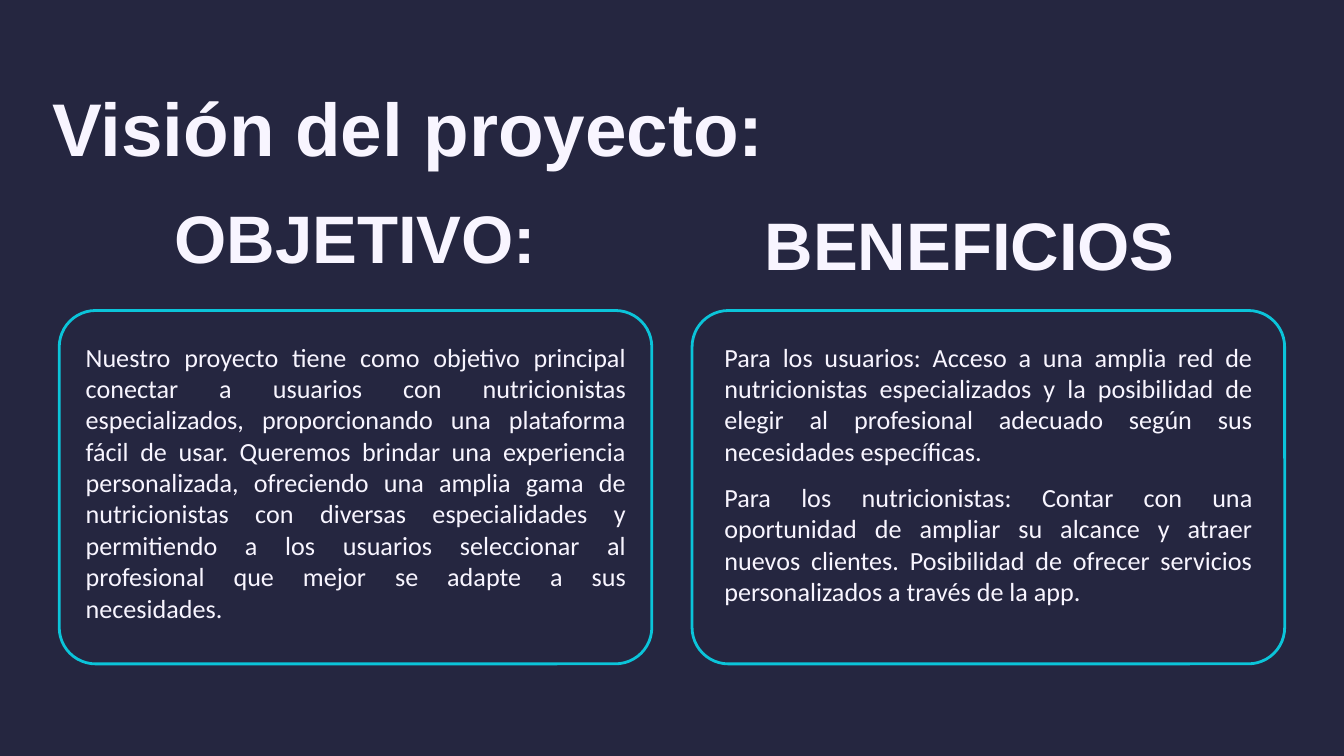
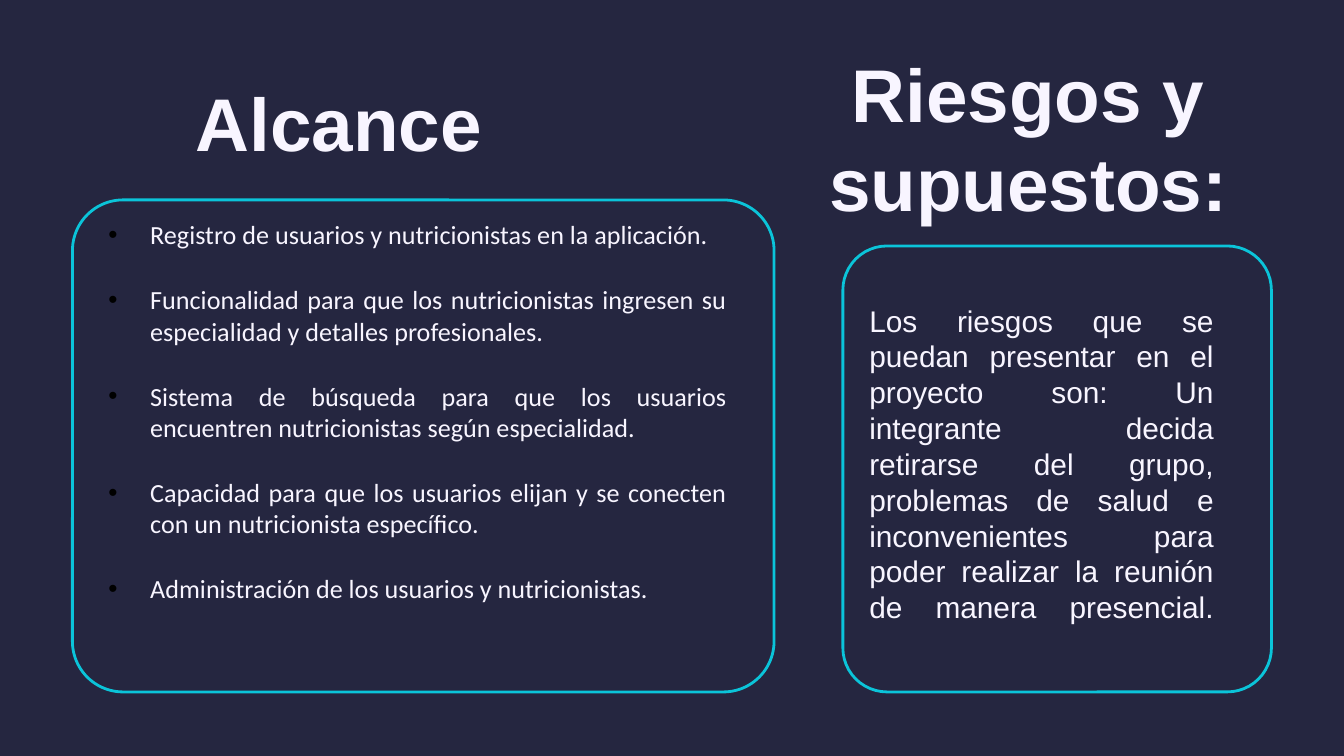
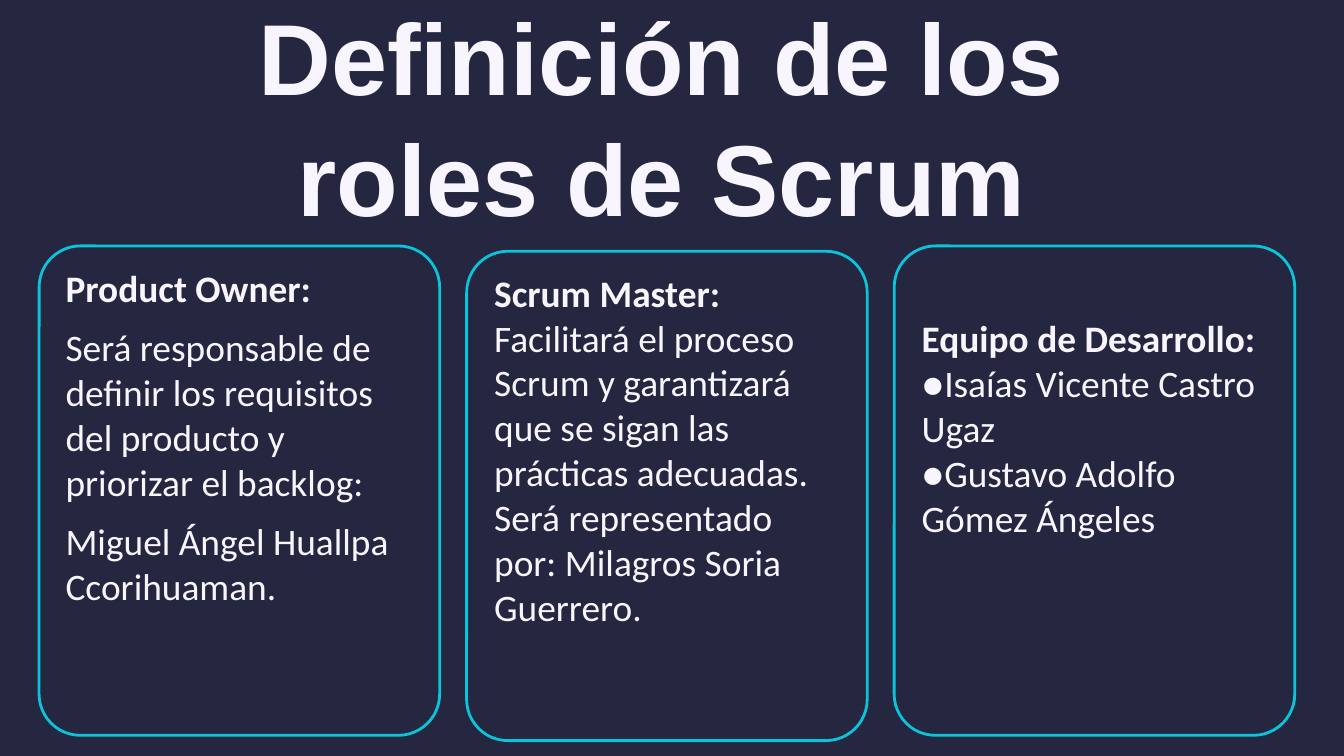
import pptx
import pptx.util
import pptx.dml.color
import pptx.enum.shapes
import pptx.enum.text
import pptx.oxml
import pptx.oxml.ns

Cm = pptx.util.Cm
Pt = pptx.util.Pt
RGBColor = pptx.dml.color.RGBColor
ALIGN = pptx.enum.text.PP_ALIGN
ANCHOR = pptx.enum.text.MSO_ANCHOR
AUTO_SIZE = pptx.enum.text.MSO_AUTO_SIZE

NAVY = RGBColor(0x25, 0x26, 0x40)
CYAN = RGBColor(0x0B, 0xC4, 0xD9)
PALE = RGBColor(0xF8, 0xF5, 0xFF)
BLACK = RGBColor(0, 0, 0)

HEADING_FRAME = {"vertical_anchor": ANCHOR.MIDDLE, "auto_size": AUTO_SIZE.NONE,
                 "margin_left": Cm(0.25), "margin_right": Cm(0.25),
                 "margin_top": Cm(0.25), "margin_bottom": Cm(0.25)}
BODY_FRAME = {"vertical_anchor": ANCHOR.TOP, "auto_size": AUTO_SIZE.SHAPE_TO_FIT_TEXT}
CENTRED = {"alignment": ALIGN.CENTER}
LEFT = {"alignment": ALIGN.LEFT}
SPACED = {"alignment": ALIGN.LEFT, "space_after": Pt(8)}
JUSTIFIED = {"alignment": ALIGN.JUSTIFY, "space_after": Pt(8)}
AIRY = {"alignment": ALIGN.JUSTIFY, "space_before": Pt(10), "space_after": Pt(8)}

BULLET_INDENT = Cm(0.79)
CARD_ROUNDING = 0.103

VISION_CARDS = {"left": 1.12, "width": 11.2, "step": 11.96, "height": 6.68, "tops": [5.87, 5.87]}
ROLE_CARDS = {"left": 0.74, "width": 7.57, "step": 8.08, "height": 9.25, "tops": [4.65, 4.75, 4.65]}


def card_row(row):
    return [(row["left"] + index * row["step"], top, row["width"], row["height"])
            for index, top in enumerate(row["tops"])]


SLIDES = [
    {
        "cards": card_row(VISION_CARDS),
        "title": ("OBJETIVO:", 36, (1.12, 3.68, 11.2, 1.6)),
        "headings": [("BENEFICIOS", 36, (12.73, 3.81, 11.2, 1.6))],
        "banner": ("Visión del proyecto:", 40, (0.74, 1.42, 23.95, 1.96)),
        "bodies": [
            {"box": (1.37, 6.32, 10.72, 6.25), "size": 14, "paragraphs": [
                (JUSTIFIED, [("Nuestro proyecto tiene como objetivo principal conectar a usuarios con nutricionistas especializados, proporcionando una plataforma fácil de usar. Queremos brindar una experiencia personalizada, ofreciendo una amplia gama de nutricionistas con diversas especialidades y permitiendo a los usuarios seleccionar al profesional que mejor se adapte a sus necesidades.", False)]),
            ]},
            {"box": (13.44, 6.32, 10.49, 5.92), "size": 14, "paragraphs": [
                (JUSTIFIED, [("Para los usuarios: Acceso a una amplia red de nutricionistas especializados y la posibilidad de elegir al profesional adecuado según sus necesidades específicas. ", False)]),
                (JUSTIFIED, [("Para los nutricionistas: Contar con una oportunidad de ampliar su alcance y atraer nuevos clientes. Posibilidad de ofrecer servicios personalizados a través de la app.", False)]),
            ]},
        ],
    },
    {
        "cards": [(1.37, 3.78, 13.26, 9.3), (15.93, 4.65, 8.1, 8.43)],
        "title": ("Alcance", 40, (1.6, 1.5, 9.6, 1.6)),
        "headings": [("Riesgos y supuestos:", 40, (14.63, 0.84, 9.6, 3.51))],
        "bodies": [
            {"box": (1.8, 4.01, 12.19, 8.81), "size": 14, "bullet": "•", "paragraphs": [
                (AIRY, [(text, False)]) for text in (
                    "Registro de usuarios y nutricionistas en la aplicación.",
                    "Funcionalidad para que los nutricionistas ingresen su especialidad y detalles profesionales.",
                    "Sistema de búsqueda para que los usuarios encuentren nutricionistas según especialidad.",
                    "Capacidad para que los usuarios elijan y se conecten con un nutricionista específico.",
                    "Administración de los usuarios y nutricionistas.",
                )
            ]},
            {"box": (16.18, 5.59, 7.01, 7.09), "size": 16, "font": "Arial", "final_break": True, "paragraphs": [
                (AIRY, [("Los riesgos que se puedan presentar en el proyecto son: Un integrante decida retirarse del grupo, problemas de salud e inconvenientes para poder realizar la reunión de manera presencial.", False)]),
            ]},
        ],
    },
    {
        "cards": card_row(ROLE_CARDS),
        "title": ("Definición de los roles de Scrum", 54, (4.34, 0.58, 16.33, 3.23)),
        "bodies": [
            {"box": (0.99, 4.88, 7.04, 8.51), "size": 20, "paragraphs": [
                (JUSTIFIED, [("Product Owner: ", True)]),
                (SPACED, [("Será responsable de definir los requisitos del producto y priorizar el backlog:", False)]),
                (SPACED, [("Miguel Ángel Huallpa Ccorihuaman.", False)]),
            ]},
            {"box": (9.09, 4.98, 7.04, 7.95), "size": 20, "paragraphs": [
                (LEFT, [("Scrum Master: ", True),
                        ("Facilitará el proceso Scrum y garantizará que se sigan las prácticas adecuadas. Será representado por: Milagros Soria Guerrero.", False)]),
            ]},
            {"box": (17.17, 5.84, 6.83, 5.38), "size": 20, "paragraphs": [
                (LEFT, [("Equipo de Desarrollo:", True)]),
                (LEFT, [("●Isaías Vicente Castro Ugaz", False)]),
                (LEFT, [("●Gustavo Adolfo Gómez Ángeles", False)]),
            ]},
        ],
    },
]


def apply_format(target, values):
    for name, value in values.items():
        setattr(target, name, value)


def place(shape, box):
    apply_format(shape, dict(zip(("left", "top", "width", "height"), map(Cm, box))))


def add_text_box(slide, box):
    return slide.shapes.add_textbox(*map(Cm, box))


def add_card(slide, box):
    card = slide.shapes.add_shape(pptx.enum.shapes.MSO_SHAPE.ROUNDED_RECTANGLE, *map(Cm, box))
    card.adjustments[0] = CARD_ROUNDING
    card.shadow.inherit = False
    card.fill.background()
    card.line.color.rgb = CYAN
    card.line.width = Pt(1.5)


def add_bullet(paragraph, character):
    properties = paragraph._p.get_or_add_pPr()
    properties.set("marL", str(BULLET_INDENT))
    properties.set("indent", str(-BULLET_INDENT))
    namespace = pptx.oxml.ns.nsdecls("a")
    for markup in (f'<a:buClr {namespace}><a:srgbClr val="{BLACK}"/></a:buClr>',
                   f'<a:buFont {namespace} typeface="Arial"/>',
                   f'<a:buChar {namespace} char="{character}"/>'):
        properties.append(pptx.oxml.parse_xml(markup))


def write(shape, frame_format, paragraphs, size, font="Calibri", bullet=None, final_break=False):
    frame = shape.text_frame
    frame.word_wrap = True
    apply_format(frame, frame_format)
    for index, (paragraph_format, runs) in enumerate(paragraphs):
        paragraph = frame.add_paragraph() if index else frame.paragraphs[0]
        apply_format(paragraph, paragraph_format)
        if bullet:
            add_bullet(paragraph, bullet)
        for text, bold in runs:
            run = paragraph.add_run()
            run.text = text
            apply_format(run.font, {"name": font, "size": Pt(size), "bold": bold})
            run.font.color.rgb = PALE
        if final_break:
            paragraph.add_line_break()


def write_heading(shape, text, size, frame_format=HEADING_FRAME, paragraph_format=CENTRED):
    write(shape, frame_format, [(paragraph_format, [(text, True)])], size, "Arial")


def build_slide(presentation, content):
    slide = presentation.slides.add_slide(presentation.slide_layouts[5])
    for box in content["cards"]:
        add_card(slide, box)
    text, size, box = content["title"]
    place(slide.shapes.title, box)
    write_heading(slide.shapes.title, text, size)
    for text, size, box in content.get("headings", []):
        write_heading(add_text_box(slide, box), text, size)
    for body in content["bodies"]:
        options = {name: value for name, value in body.items() if name != "box"}
        write(add_text_box(slide, body["box"]), BODY_FRAME, **options)
    if "banner" in content:
        text, size, box = content["banner"]
        write_heading(add_text_box(slide, box), text, size, BODY_FRAME, LEFT)


def main():
    presentation = pptx.Presentation()
    presentation.slide_width = Cm(25.4)
    presentation.slide_height = Cm(14.29)
    background = presentation.slide_master.background.fill
    background.solid()
    background.fore_color.rgb = NAVY
    for content in SLIDES:
        build_slide(presentation, content)
    presentation.save("out.pptx")


if __name__ == "__main__":
    main()
